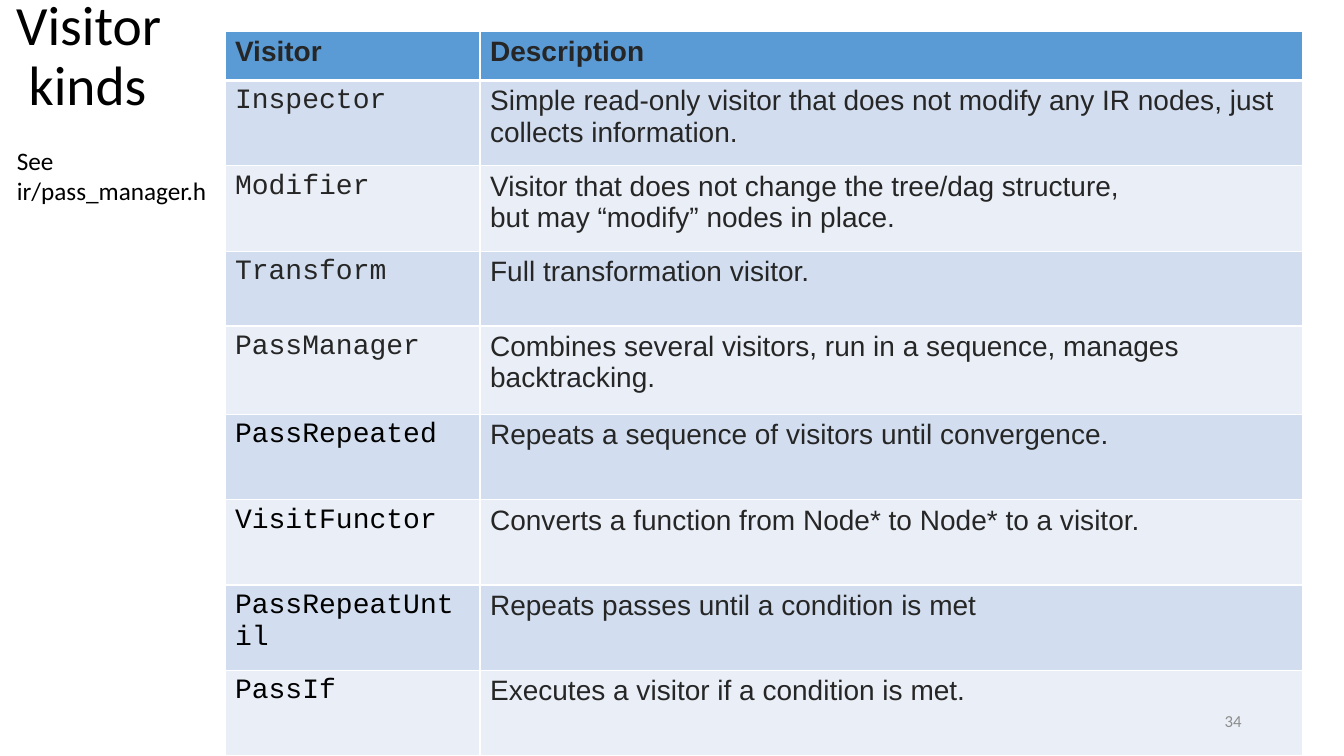
"""Build the slide that lists the visitor kinds in a two-column table."""
from pptx import Presentation
from pptx.dml.color import RGBColor
from pptx.enum.text import MSO_ANCHOR as Anchor, MSO_AUTO_SIZE as AutoSize, PP_ALIGN as Align
from pptx.oxml.ns import qn
from pptx.util import Pt
from lxml.etree import SubElement

TITLE = "Visitor\n kinds"
SOURCE_LINES = ["See", "ir/pass_manager.h"]
PAGE_NUMBER = "34"
HEADER = ("Visitor", "Description")
BLACK, DARK, GRAY, WHITE = "000000", "262626", "8C8C8C", "FFFFFF"
HEADER_FILL, BAND_FILLS = "5B9BD5", ("D2DEEF", "EAEFF7")
VISITORS = [
    ("Inspector", "Simple read-only visitor that does not modify any IR nodes, "
                  "just collects information.", DARK),
    ("Modifier", "Visitor that does not change the tree/dag structure, \n"
                 "but may “modify” nodes in place.", DARK),
    ("Transform", "Full transformation visitor.", DARK),
    ("PassManager", "Combines several visitors, run in a sequence, "
                    "manages backtracking.", DARK),
    ("PassRepeated", "Repeats a sequence of visitors until convergence.", BLACK),
    ("VisitFunctor", "Converts a function from Node* to Node* to a visitor.", BLACK),
    ("PassRepeatUntil", "Repeats passes until a condition is met", BLACK),
    ("PassIf", "Executes a visitor if a condition is met.", BLACK),
]
COLUMN_WIDTHS = (182.2, 587.5)
HEADER_HEIGHT, VISITOR_HEIGHT = 35, 61
SPECIAL_HEIGHTS = {"Transform": 53.5, "PassManager": 63}


def rgb(color):
    return RGBColor.from_string(color)


def write(paragraph, text, size, font, color, bold=False):
    for index, line in enumerate(text.split("\n")):
        if index:
            paragraph.add_line_break()
        run = paragraph.add_run()
        run.text = line
        run.font.size = Pt(size)
        run.font.name = font
        run.font.bold = bold
        run.font.color.rgb = rgb(color)


def fill_cell(cell, text, font, color, fill, bold=False, bottom=1):
    write(cell.text_frame.paragraphs[0], text, 20, font, color, bold)
    properties = cell._tc.get_or_add_tcPr()
    for side, width in (("L", 1), ("R", 1), ("T", 1), ("B", bottom)):
        border = SubElement(properties, qn(f"a:ln{side}"), w=str(Pt(width)))
        SubElement(SubElement(border, qn("a:solidFill")), qn("a:srgbClr"), val=WHITE)
    cell.fill.solid()
    cell.fill.fore_color.rgb = rgb(fill)


def add_title(slide):
    title = slide.shapes.title
    title.left, title.top, title.width, title.height = Pt(4.3), Pt(10.8), Pt(828), Pt(61.2)
    frame = title.text_frame
    frame.auto_size = AutoSize.NONE
    frame.vertical_anchor = Anchor.MIDDLE
    heading = frame.paragraphs[0]
    heading.alignment = Align.LEFT
    heading.line_spacing = 0.9
    write(heading, TITLE, 39.6, "Calibri", BLACK)


def add_visitor_table(slide):
    heights = [HEADER_HEIGHT] + [SPECIAL_HEIGHTS.get(name, VISITOR_HEIGHT)
                                 for name, _, _ in VISITORS]
    table = slide.shapes.add_table(len(heights), len(COLUMN_WIDTHS), Pt(160.7), Pt(22.5),
                                   Pt(sum(COLUMN_WIDTHS)), Pt(sum(heights))).table
    for column, width in zip(table.columns, COLUMN_WIDTHS):
        column.width = Pt(width)
    for row, height in zip(table.rows, heights):
        row.height = Pt(height)
    for column, label in enumerate(HEADER):
        fill_cell(table.cell(0, column), label, "Arial", DARK, HEADER_FILL, True, 3)
    for row, (name, description, name_color) in enumerate(VISITORS, 1):
        band = BAND_FILLS[(row - 1) % 2]
        fill_cell(table.cell(row, 0), name, "Courier New", name_color, band)
        fill_cell(table.cell(row, 1), description, "Arial", DARK, band)


def add_note(slide, box, lines, size, color, wrap, anchor, align):
    frame = slide.shapes.add_textbox(*map(Pt, box)).text_frame
    frame.word_wrap = wrap
    frame.vertical_anchor = anchor
    for index, line in enumerate(lines):
        paragraph = frame.add_paragraph() if index else frame.paragraphs[0]
        paragraph.alignment = align
        write(paragraph, line, size, "Calibri", color)


def main():
    deck = Presentation()
    deck.slide_width, deck.slide_height = Pt(960), Pt(540)
    slide = deck.slides.add_slide(deck.slide_layouts[5])
    add_title(slide)
    add_visitor_table(slide)
    add_note(slide, (678, 500.5, 216, 28.8), [PAGE_NUMBER], 12, GRAY,
             True, Anchor.MIDDLE, Align.RIGHT)
    add_note(slide, (5, 100, 155.5, 51), SOURCE_LINES, 18, BLACK,
             False, Anchor.TOP, Align.LEFT)
    deck.save("out.pptx")


if __name__ == "__main__":
    main()
